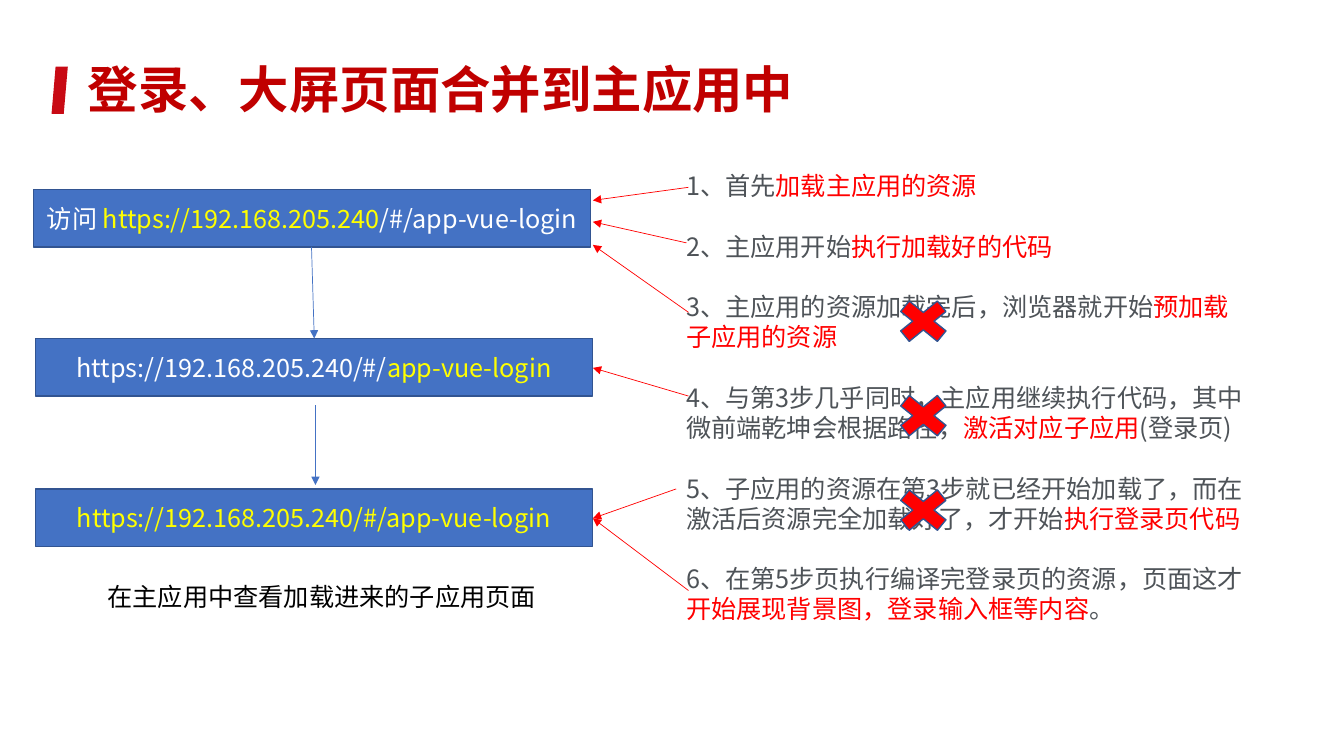
from lxml import etree
from pptx import Presentation
from pptx import util as u
from pptx.dml.color import RGBColor
from pptx.enum import shapes, text
from pptx.oxml import ns

FONT = "Noto Sans CJK SC"
WHITE = RGBColor(0xFF, 0xFF, 0xFF)
BLACK = RGBColor(0, 0, 0)
GREY = RGBColor(0x4E, 0x53, 0x58)
RED = RGBColor(0xFF, 0, 0)
DARK_RED = RGBColor(0xC0, 0, 0)
MARK_RED = RGBColor(0xC8, 0x0A, 0x14)
YELLOW = RGBColor(0xFF, 0xFF, 0)
BLUE = RGBColor(0x44, 0x72, 0xC4)
EDGE_BLUE = RGBColor(0x32, 0x54, 0x91)

LINE_PITCH = u.Pt(21.6)
HOST = "https://192.168.205.240"
ROUTE = "app-vue-login"

# Each address box: left, top, coloured spans
ADDRESSES = [
    (0.84, 4.78, [("访问 ", WHITE), (HOST, YELLOW), ("/#/" + ROUTE, WHITE)]),
    (0.89, 8.53, [(HOST + "/#/", WHITE), (ROUTE, YELLOW)]),
    (0.89, 12.32, [(HOST + "/#/" + ROUTE, YELLOW)]),
]
STEPS = [
    [("1、首先", GREY), ("加载主应用的资源", RED)],
    [("2、主应用开始", GREY), ("执行加载好的代码", RED)],
    [("3、主应用的资源加载完后，浏览器就开始", GREY), ("预加载子应用的资源", RED)],
    [("4、与第3步几乎同时，主应用继续执行代码，其中微前端乾坤会根据路径，", GREY),
     ("激活对应子应用", RED), ("(登录页)", GREY)],
    [("5、子应用的资源在第3步就已经开始加载了，而在激活后资源完全加载好了，才开始", GREY),
     ("执行登录页代码", RED)],
    [("6、在第5步页执行编译完登录页的资源，页面这才", GREY),
     ("开始展现背景图，登录输入框等内容", RED), ("。", GREY)],
]
FLOW_ARROWS = [(7.85, 6.22, 7.92, 8.53), (7.95, 10.21, 7.95, 12.22)]
# Each step arrow: start x, start y, end y
STEP_ARROWS = [(17.35, 4.72, 5.05), (17.3, 6.12, 5.59), (17.35, 7.87, 6.17),
               (17.35, 9.98, 9.27), (17.04, 12.32, 13.06), (17.35, 14.88, 13.06)]
STEP_ARROW_END = 14.94


def write(para, spans, size=18, bold=False, align=text.PP_ALIGN.LEFT):
    para.alignment = align
    para.font.size = u.Pt(size)
    para.font.bold = bold
    para.font.name = FONT
    for words, colour in spans:
        span = para.add_run()
        span.text = words
        span.font.size = u.Pt(size)
        span.font.bold = bold
        span.font.name = FONT
        span.font.color.rgb = colour
        # East Asian characters take their own typeface entry
        properties = span.font._element
        etree.SubElement(properties, ns.qn("a:ea"), typeface=FONT)


def add_figure(page, kind, left, top, width, height, fill, edge=None):
    figure = page.shapes.add_shape(
        kind, u.Cm(left), u.Cm(top), u.Cm(width), u.Cm(height))
    figure.shadow.inherit = False
    figure.fill.solid()
    figure.fill.fore_color.rgb = fill
    if edge is None:
        figure.line.fill.background()
    else:
        figure.line.color.rgb = edge
        figure.line.width = u.Pt(1)
    return figure


def add_address(page, left, top, spans):
    box = add_figure(page, shapes.MSO_SHAPE.RECTANGLE, left, top, 14.05, 1.45,
                     BLUE, EDGE_BLUE)
    box.text_frame.vertical_anchor = text.MSO_ANCHOR.MIDDLE
    write(box.text_frame.paragraphs[0], spans, align=text.PP_ALIGN.CENTER)


def add_text(page, left, top, width, height, paragraphs, wrap=True):
    box = page.shapes.add_textbox(u.Cm(left), u.Cm(top), u.Cm(width), u.Cm(height))
    frame = box.text_frame
    frame.word_wrap = wrap
    frame.auto_size = text.MSO_AUTO_SIZE.SHAPE_TO_FIT_TEXT
    for number, spans in enumerate(paragraphs):
        para = frame.add_paragraph() if number else frame.paragraphs[0]
        para.line_spacing = LINE_PITCH
        para.space_before = LINE_PITCH if number else u.Pt(0)
        write(para, spans)


def add_arrow(page, x1, y1, x2, y2, colour):
    arrow = page.shapes.add_connector(
        shapes.MSO_CONNECTOR.STRAIGHT, u.Cm(x1), u.Cm(y1), u.Cm(x2), u.Cm(y2))
    arrow.line.color.rgb = colour
    arrow.line.width = u.Pt(0.5)
    etree.SubElement(arrow.line._get_or_add_ln(), ns.qn("a:tailEnd"), type="triangle")
    etree.SubElement(arrow._element.spPr, ns.qn("a:effectLst"))


def add_title(page, words):
    title = page.shapes.title
    title.left, title.top = u.Cm(2.21), u.Cm(1.35)
    title.width, title.height = u.Cm(23.06), u.Cm(1.75)
    frame = title.text_frame
    frame.margin_left = 0
    frame.vertical_anchor = text.MSO_ANCHOR.MIDDLE
    write(frame.paragraphs[0], [(words, DARK_RED)], size=36, bold=True)


def main():
    deck = Presentation()
    deck.slide_width, deck.slide_height = u.Cm(33.87), u.Cm(19.05)
    page = deck.slides.add_slide(deck.slide_layouts[5])

    # Heading
    add_figure(page, shapes.MSO_SHAPE.PARALLELOGRAM, 1.3, 1.68, 0.41, 1.19, MARK_RED)
    add_title(page, "登录、大屏页面合并到主应用中")

    # Loading steps
    add_text(page, 17.04, 4.17, 14.76, 11.79, STEPS)

    # Address flow
    for left, top, spans in ADDRESSES:
        add_address(page, left, top, spans)
    for ends in FLOW_ARROWS:
        add_arrow(page, *ends, BLUE)
    add_text(page, 2.46, 14.53, 11.4, 1.02,
             [[("在主应用中查看加载进来的子应用页面", BLACK)]], wrap=False)

    # Crosses over the steps that fall away
    for row in range(3):
        add_figure(page, shapes.MSO_SHAPE.MATH_MULTIPLY, 22.38, 7.37 + 2.38 * row,
                   1.78, 1.45, RED, EDGE_BLUE)

    # Links from the steps to the addresses
    for x, y, end_y in STEP_ARROWS:
        add_arrow(page, x, y, STEP_ARROW_END, end_y, RED)

    deck.save("out.pptx")


if __name__ == "__main__":
    main()
